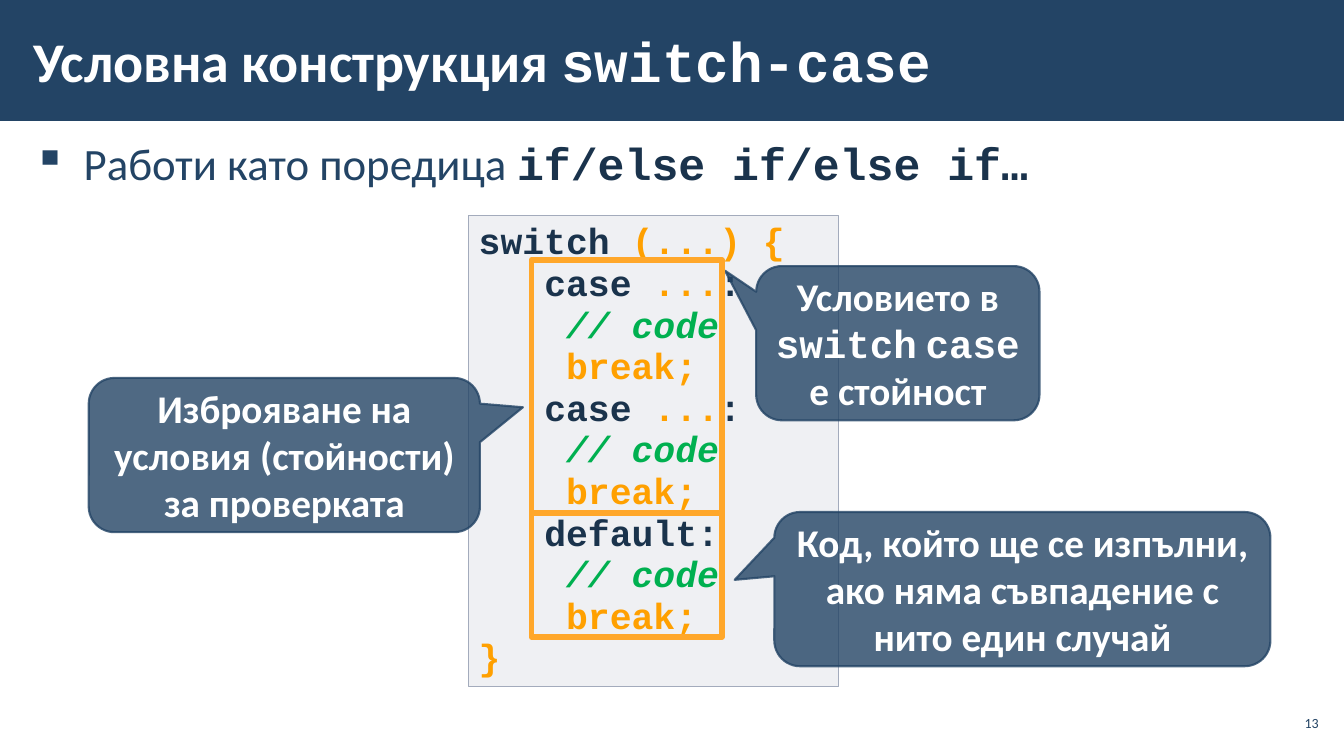
from lxml import etree
from pptx import Presentation
from pptx.dml.color import RGBColor
from pptx.enum import shapes, text
from pptx.oxml import ns
from pptx.util import Inches, Pt

NAVY = RGBColor(0x23, 0x44, 0x65)
DARK = RGBColor(0x1A, 0x33, 0x4C)
ORANGE = RGBColor(0xFF, 0xA0, 0x00)
FRAME = RGBColor(0xFF, 0xA7, 0x2A)
GREEN = RGBColor(0x00, 0xB0, 0x50)
PANEL = RGBColor(0xC2, 0xC7, 0xD2)
PANEL_LINE = RGBColor(0xA3, 0xAB, 0xBC)
WHITE = RGBColor(0xFF, 0xFF, 0xFF)
SANS, MONO = "Calibri", "Courier New"
CODE_SIZE = 26
CHAR = CODE_SIZE * 0.6 / 72  # width of one code character in inches

# Each code line: indent in characters, then (words, colour) pieces.
CASE = [(3, [("case", DARK), (" ...", ORANGE), (":", DARK)])]
BODY = [(4, [("// code", GREEN)]), (4, [("break;", ORANGE)])]
CODE = ([(0, [("switch ", DARK), ("(...) {", ORANGE)])]
        + (CASE + BODY) * 2
        + [(3, [("default:", DARK)])] + BODY
        + [(0, [("}", ORANGE)])])


def set_alpha(fill, percent):
    color = fill._xPr.find(ns.qn("a:solidFill"))[0]
    etree.SubElement(color, ns.qn("a:alpha"), val=str(percent * 1000))


def add_box(slide, kind, box, fill=None, line=None, width=1):
    sp = slide.shapes.add_shape(kind, *map(Inches, box))
    sp.shadow.inherit = False
    if fill is None:
        sp.fill.background()
    else:
        sp.fill.solid()
        sp.fill.fore_color.rgb = fill
    if line is None:
        sp.line.fill.background()
    else:
        sp.line.color.rgb = line
        sp.line.width = Pt(width)
    return sp


def add_text(slide, box, inset=0.12, anchor=text.MSO_ANCHOR.TOP):
    tf = slide.shapes.add_textbox(*map(Inches, box)).text_frame
    tf.word_wrap = True
    tf.vertical_anchor = anchor
    tf.margin_left = tf.margin_right = Inches(inset)
    tf.margin_top = tf.margin_bottom = Inches(0.04)
    return tf.paragraphs[0]


def set_font(font, size, color, name=SANS, bold=False):
    font.size, font.name, font.bold = Pt(size), name, bold
    font.color.rgb = color


def add_run(p, words, name=None, color=None, bold=None):
    r = p.add_run()
    r.text = words
    if name:
        r.font.name = name
    if color is not None:
        r.font.color.rgb = color
    if bold is not None:
        r.font.bold = bold
    return r


def add_header(slide, box):
    left, top, width, height = box
    add_box(slide, shapes.MSO_SHAPE.RECTANGLE, box, NAVY)
    p = add_text(slide, (left + 0.21, top + 0.11, 10.39, height - 0.23),
                 anchor=text.MSO_ANCHOR.MIDDLE)
    set_font(p.font, 40, WHITE, bold=True)
    add_run(p, "Условна конструкция ", SANS)
    add_run(p, "switch-case", MONO)


def add_bullet(slide, box):
    p = add_text(slide, box)
    set_font(p.font, 32, NAVY)
    p.space_before = p.space_after = Pt(6)
    pPr = p._p.get_or_add_pPr()
    pPr.set("marL", str(Inches(0.5)))
    pPr.set("indent", str(-Inches(0.5)))
    bullet = etree.Element(ns.qn("a:buChar"), char="▪")
    pPr.find(ns.qn("a:defRPr")).addprevious(bullet)
    add_run(p, "Работи като поредица ", SANS)
    add_run(p, "if/else if/else if…", MONO, DARK, True)


def add_code(slide, box):
    sp = add_box(slide, shapes.MSO_SHAPE.RECTANGLE, box, PANEL, PANEL_LINE)
    set_alpha(sp.fill, 25)
    tf = sp.text_frame
    tf.vertical_anchor = text.MSO_ANCHOR.TOP
    for i, (indent, pieces) in enumerate(CODE):
        p = tf.add_paragraph() if i else tf.paragraphs[0]
        p.alignment = text.PP_ALIGN.LEFT
        p.line_spacing = Pt(29.7)
        set_font(p.font, CODE_SIZE, DARK, MONO, True)
        p._p.get_or_add_pPr().set("marL", str(Inches(indent * CHAR)))
        for words, color in pieces:
            r = add_run(p, words, color=color)
            if color == GREEN:
                r.font.italic = True


def add_frames(slide, left, tops, width, bottom):
    """Stack outlined frames, each ending where the next begins."""
    for top, end in zip(tops, tops[1:] + [bottom]):
        add_box(slide, shapes.MSO_SHAPE.RECTANGLE,
                (left, top, width, end - top), line=FRAME, width=4)


def add_callout(slide, box, tip, pieces):
    sp = add_box(slide, shapes.MSO_SHAPE.ROUNDED_RECTANGULAR_CALLOUT,
                 box, NAVY, NAVY, 1.5)
    set_alpha(sp.fill, 80)
    set_alpha(sp.line.fill, 80)
    sp.adjustments[0], sp.adjustments[1] = tip
    tf = sp.text_frame
    tf.word_wrap = True
    tf.vertical_anchor = text.MSO_ANCHOR.MIDDLE
    p = tf.paragraphs[0]
    p.alignment = text.PP_ALIGN.CENTER
    set_font(p.font, 28, WHITE, bold=True)
    for words, name in pieces:
        add_run(p, words, name)


def add_page_number(slide, box, number):
    p = add_text(slide, box, 0.04, text.MSO_ANCHOR.MIDDLE)
    p.alignment = text.PP_ALIGN.RIGHT
    set_font(p.font, 10, NAVY)
    add_run(p, number)


def main():
    prs = Presentation()
    prs.slide_width, prs.slide_height = Inches(13.33), Inches(7.5)
    slide = prs.slides.add_slide(prs.slide_layouts[6])
    add_header(slide, (0, 0, 13.33, 1.2))
    add_bullet(slide, (0.21, 1.31, 12.92, 0.8))
    add_code(slide, (4.65, 2.14, 3.67, 4.67))
    add_callout(slide, (7.5, 2.64, 2.81, 1.53), (-0.61, -0.47),
                [("Условието в ", SANS), ("switch", MONO), (" ", SANS),
                 ("case", MONO), (" е стойност", SANS)])
    add_callout(slide, (0.88, 3.75, 3.88, 1.53), (0.61, -0.31),
                [("Изброяване на условия (стойности) за проверката", SANS)])
    add_callout(slide, (7.68, 5.08, 4.92, 1.53), (-0.58, -0.06),
                [("Код, който ще се изпълни, ако няма съвпадение с "
                  "нито един случай", SANS)])
    add_frames(slide, 5.27, [2.58, 5.09], 1.89, 6.32)
    add_page_number(slide, (12.65, 7, 0.47, 0.34), "13")
    prs.save("out.pptx")


if __name__ == "__main__":
    main()
